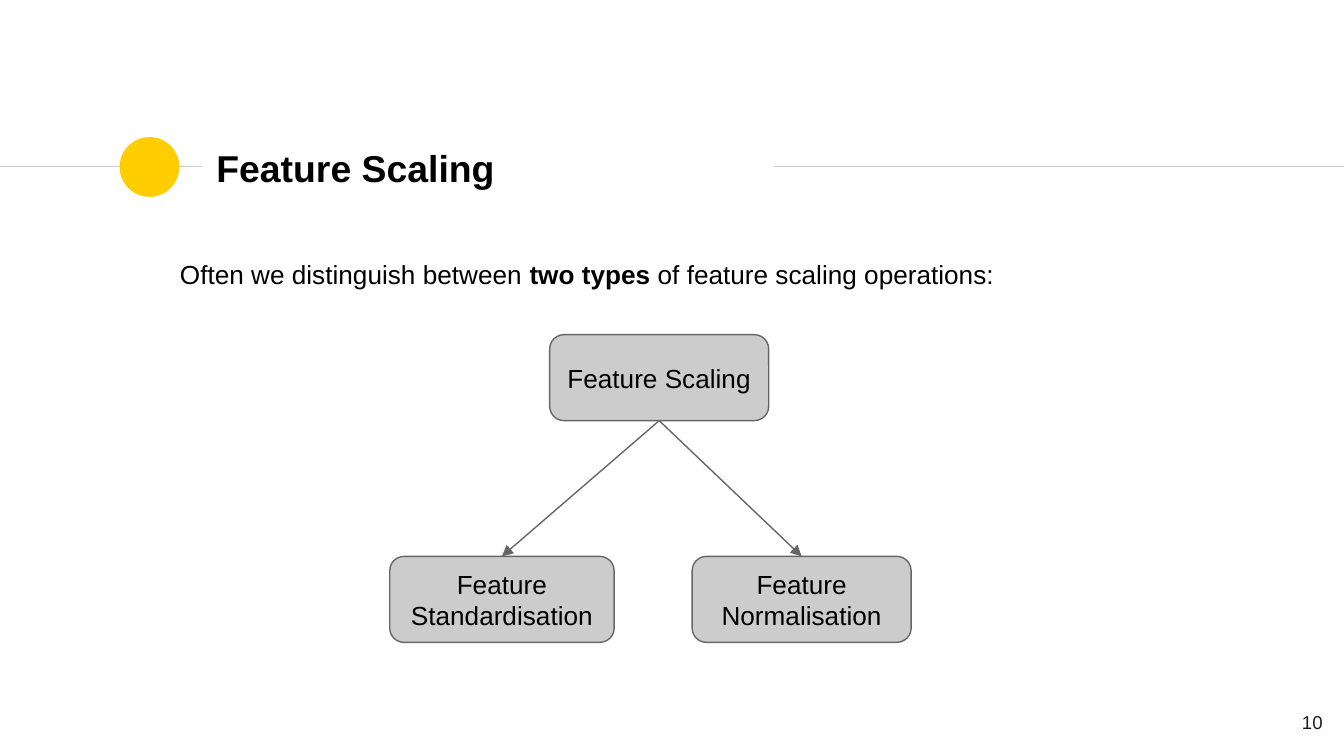
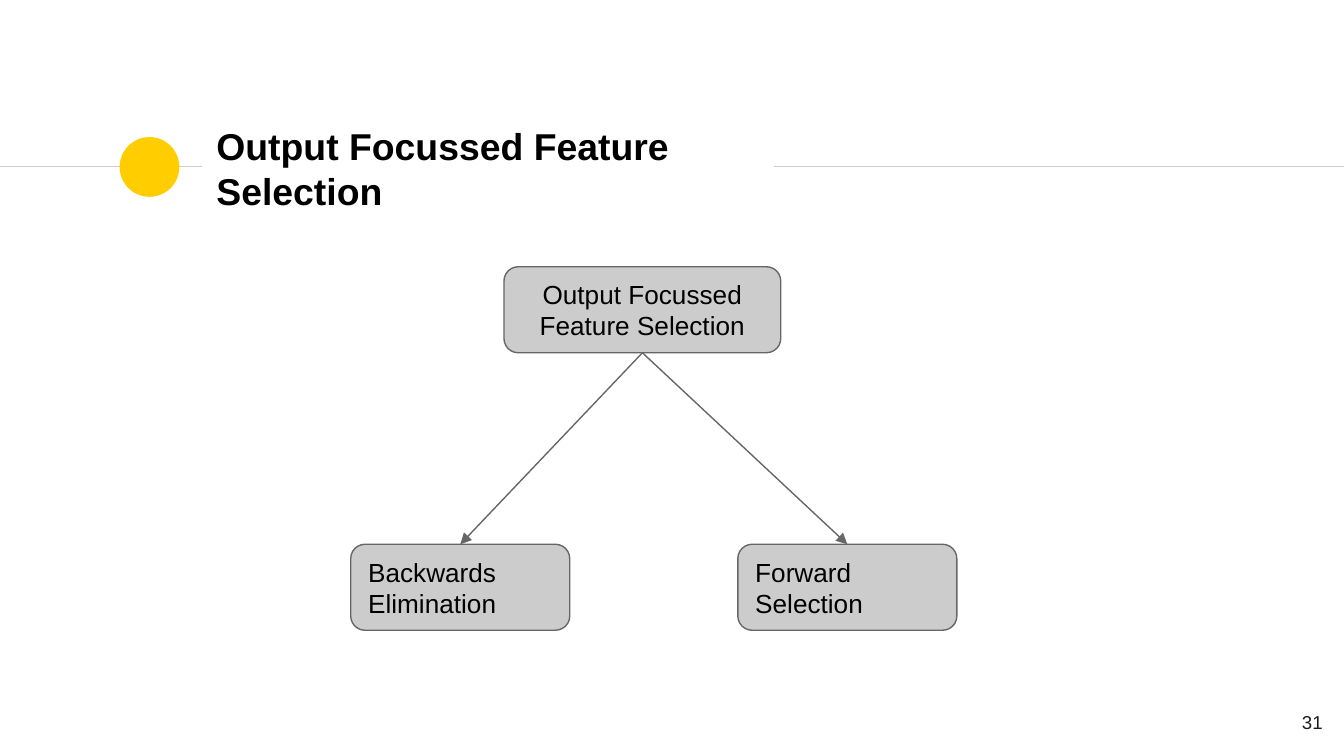
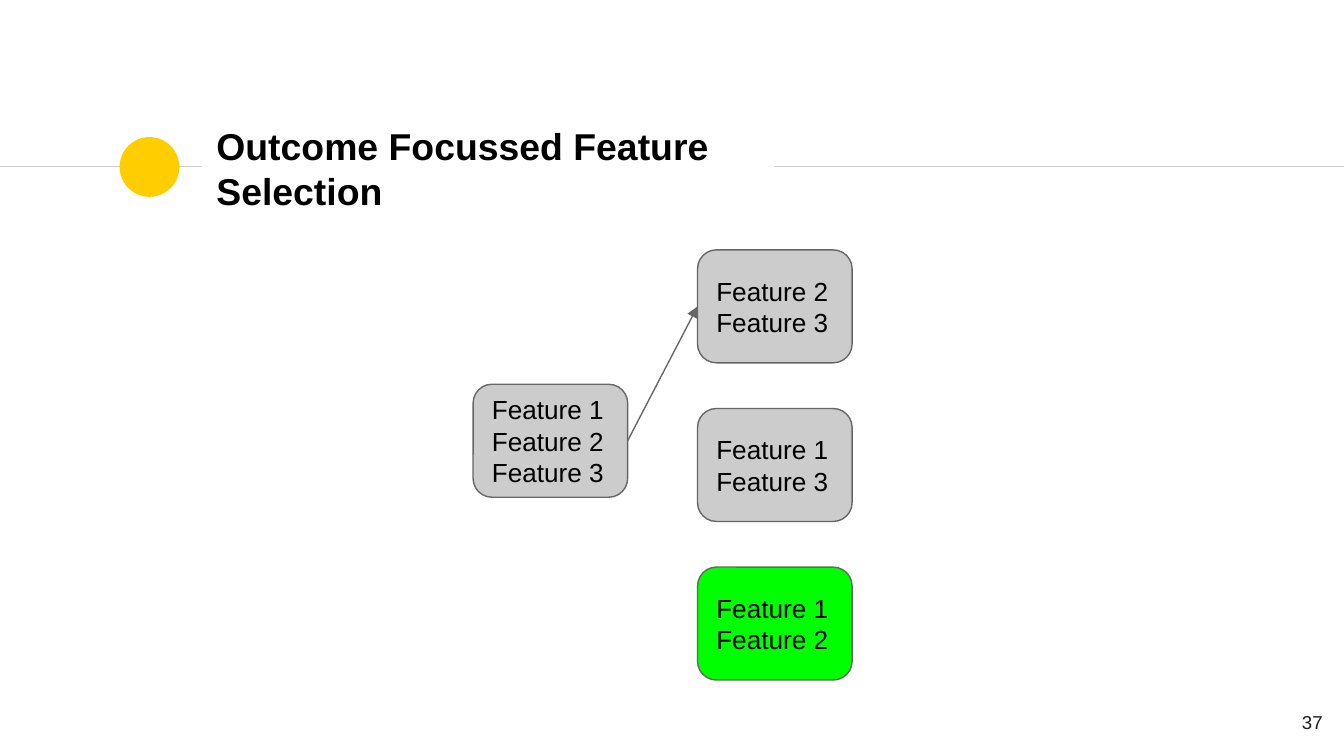
import lxml.etree
import pptx
import pptx.dml.color
import pptx.enum.shapes
import pptx.enum.text
import pptx.oxml.ns
import pptx.util

COLORS = {
    "accent": "FFCD00",
    "rule": "CCCCCC",
    "box": "CCCCCC",
    "chosen": "00FF00",
    "outline": "666666",
    "text": "000000",
    "number": "1D1D1B",
}
RGB = {name: pptx.dml.color.RGBColor.from_string(value) for name, value in COLORS.items()}
ALIGN = pptx.enum.text.PP_ALIGN
ANCHOR = pptx.enum.text.MSO_ANCHOR
SHAPE = pptx.enum.shapes.MSO_SHAPE
TOP, LEFT, BOTTOM, RIGHT = range(4)

presentation = pptx.Presentation()
presentation.slide_width = pptx.util.Inches(10)
presentation.slide_height = pptx.util.Inches(5.625)
COLUMN = presentation.slide_width / 100
ROW = presentation.slide_height / 56.25
RULE_ROW = 12.4
TREE_LINKS = [(0, BOTTOM, 1, TOP), (0, BOTTOM, 2, TOP)]

SLIDES = [
    {
        "title": "Feature Scaling",
        "number": "10",
        "intro": "Often we distinguish between **two types **of feature scaling operations:",
        "boxes": [
            (40.9, 24.9, 16.3, 6.4, "Feature Scaling", ALIGN.CENTER, "box"),
            (29, 41.4, 16.7, 6.4, "Feature Standardisation", ALIGN.CENTER, "box"),
            (51.5, 41.4, 16.3, 6.4, "Feature Normalisation", ALIGN.CENTER, "box"),
        ],
        "links": TREE_LINKS,
    },
    {
        "title": "Output Focussed Feature Selection",
        "number": "31",
        "boxes": [
            (37.5, 19.85, 20.6, 6.4, "Output Focussed Feature Selection", ALIGN.CENTER, "box"),
            (26.1, 40.5, 16.3, 6.4, "Backwards Elimination", ALIGN.LEFT, "box"),
            (54.9, 40.5, 16.3, 6.4, "Forward Selection", ALIGN.LEFT, "box"),
        ],
        "links": TREE_LINKS,
    },
    {
        "title": "Outcome Focussed Feature Selection",
        "number": "37",
        "boxes": [(35.2, 28.6, 11.5, 8.4, "Feature 1\nFeature 2\nFeature 3", ALIGN.LEFT, "box")]
        + [
            (51.9, 18.6 + 11.8 * step, 11.5, 8.4, pair, ALIGN.LEFT, fill)
            for step, (pair, fill) in enumerate([
                ("Feature 2\nFeature 3", "box"),
                ("Feature 1\nFeature 3", "box"),
                ("Feature 1\nFeature 2", "chosen"),
            ])
        ],
        "links": [(0, RIGHT, 1, LEFT)],
    },
]


def write_text(shape, text, size=14, bold=False, color="text", align=ALIGN.LEFT, anchor=ANCHOR.TOP):
    frame = shape.text_frame
    margin = pptx.util.Inches(0.1)
    frame_format = {
        "word_wrap": True,
        "auto_size": pptx.enum.text.MSO_AUTO_SIZE.NONE,
        "vertical_anchor": anchor,
        "margin_left": margin,
        "margin_top": margin,
        "margin_right": margin,
        "margin_bottom": margin,
    }
    for name, value in frame_format.items():
        setattr(frame, name, value)
    for index, line in enumerate(text.split("\n")):
        paragraph = frame.add_paragraph() if index else frame.paragraphs[0]
        paragraph.alignment = align
        for part, words in enumerate(line.split("**")):
            run = paragraph.add_run()
            run.text = words
            font_format = {"name": "Arial", "size": pptx.util.Pt(size), "bold": bold or part % 2 == 1}
            for name, value in font_format.items():
                setattr(run.font, name, value)
            run.font.color.rgb = RGB[color]


def add_line(slide, color, start=0, end=0):
    connector = slide.shapes.add_connector(
        pptx.enum.shapes.MSO_CONNECTOR.STRAIGHT,
        int(start * COLUMN), int(RULE_ROW * ROW), int(end * COLUMN), int(RULE_ROW * ROW),
    )
    connector.line.color.rgb = RGB[color]
    connector.line.width = pptx.util.Pt(0.75)
    lxml.etree.SubElement(connector._element.spPr, pptx.oxml.ns.qn("a:effectLst"))
    return connector


for content in SLIDES:
    slide = presentation.slides.add_slide(presentation.slide_layouts[5])
    for start, end in [(0, 15), (57.6, 100)]:
        add_line(slide, "rule", start, end)

    circle = slide.shapes.add_shape(
        SHAPE.OVAL, int(8.9 * COLUMN), int(10.2 * ROW), int(4.45 * COLUMN), int(4.45 * ROW)
    )
    circle.shadow.inherit = False
    circle.fill.solid()
    circle.fill.fore_color.rgb = RGB["accent"]
    circle.line.fill.background()

    title = slide.shapes.title
    title_place = {
        "left": int(15.1 * COLUMN),
        "top": int(10.1 * ROW),
        "width": int(42.4 * COLUMN),
        "height": int(4.8 * ROW),
    }
    for name, value in title_place.items():
        setattr(title, name, value)
    write_text(title, content["title"], size=20, bold=True, anchor=ANCHOR.MIDDLE)

    number = slide.shapes.add_textbox(int(93.4 * COLUMN), int(51.9 * ROW), int(6 * COLUMN), int(4.3 * ROW))
    write_text(number, content["number"], size=10, color="number", align=ALIGN.RIGHT)

    if "intro" in content:
        intro = slide.shapes.add_textbox(int(12.4 * COLUMN), int(18.2 * ROW), int(73.1 * COLUMN), int(8 * ROW))
        write_text(intro, content["intro"])

    boxes = []
    for left, top, width, height, text, align, fill in content["boxes"]:
        box = slide.shapes.add_shape(
            SHAPE.ROUNDED_RECTANGLE, int(left * COLUMN), int(top * ROW), int(width * COLUMN), int(height * ROW)
        )
        box.shadow.inherit = False
        box.fill.solid()
        box.fill.fore_color.rgb = RGB[fill]
        box.line.color.rgb = RGB["outline"]
        box.line.width = pptx.util.Pt(0.75)
        write_text(box, text, align=align, anchor=ANCHOR.MIDDLE)
        boxes.append(box)

    for parent, parent_side, child, child_side in content["links"]:
        arrow = add_line(slide, "outline")
        arrow.begin_connect(boxes[parent], parent_side)
        arrow.end_connect(boxes[child], child_side)
        outline = arrow._element.spPr.find(pptx.oxml.ns.qn("a:ln"))
        lxml.etree.SubElement(outline, pptx.oxml.ns.qn("a:tailEnd"), type="triangle")

presentation.save("out.pptx")
